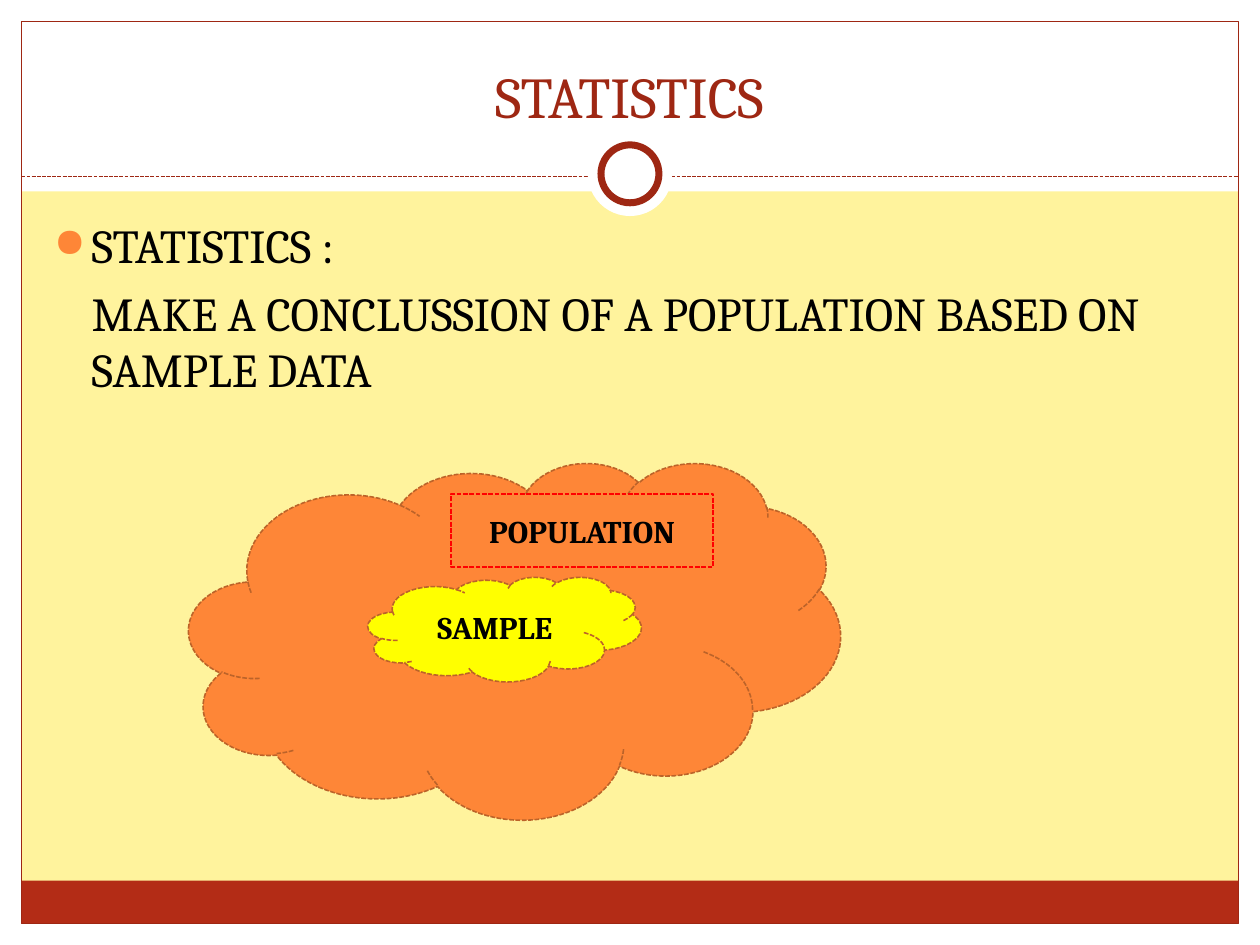
from lxml import etree
from pptx import Presentation
from pptx.dml.color import RGBColor
from pptx.enum.dml import MSO_LINE_DASH_STYLE as DASH
from pptx.enum.shapes import MSO_CONNECTOR, MSO_SHAPE
from pptx.enum.text import MSO_ANCHOR, PP_ALIGN
from pptx.oxml.ns import qn
from pptx.util import Inches, Pt

FONT = "Cambria"
WHITE = RGBColor(0xFF, 0xFF, 0xFF)
BLACK = RGBColor(0x00, 0x00, 0x00)
CREAM = RGBColor(0xFF, 0xF3, 0x9D)
BRICK = RGBColor(0xB3, 0x2C, 0x16)
DARK_RED = RGBColor(0x9E, 0x27, 0x13)
ORANGE = RGBColor(0xFE, 0x86, 0x37)
BROWN = RGBColor(0xBC, 0x63, 0x29)
YELLOW = RGBColor(0xFF, 0xFF, 0x00)
RED = RGBColor(0xFF, 0x00, 0x00)

WIDTH, HEIGHT, MARGIN = 10, 7.5, 0.17
INNER_WIDTH = WIDTH - 2 * MARGIN
HEADER_HEIGHT = 1.52
RULE_Y = 1.4


def style_line(line, color, width, dash=None):
    line.color.rgb = color
    line.width = Pt(width)
    if dash:
        line.dash_style = dash


def add_shape(slide, kind, box, fill=None, line=None, width=0.75, dash=None):
    shape = slide.shapes.add_shape(kind, *map(Inches, box))
    shape.shadow.inherit = False
    if fill is None:
        shape.fill.background()
    else:
        shape.fill.solid()
        shape.fill.fore_color.rgb = fill
    if line is None:
        shape.line.fill.background()
    else:
        style_line(shape.line, line, width, dash)
    return shape


def add_text_box(slide, box, anchor=MSO_ANCHOR.TOP):
    frame = slide.shapes.add_textbox(*map(Inches, box)).text_frame
    frame.word_wrap = True
    frame.vertical_anchor = anchor
    return frame


def add_run(paragraph, text, size, color=BLACK, bold=False):
    run = paragraph.add_run()
    run.text = text
    run.font.name = FONT
    run.font.size = Pt(size)
    run.font.bold = bold
    run.font.color.rgb = color


def add_label(shape, text):
    shape.text_frame.vertical_anchor = MSO_ANCHOR.MIDDLE
    paragraph = shape.text_frame.paragraphs[0]
    paragraph.alignment = PP_ALIGN.CENTER
    add_run(paragraph, text, 18, bold=True)


def set_hanging_indent(paragraph, indent):
    properties = paragraph._p.get_or_add_pPr()
    properties.set("marL", str(Inches(indent)))
    properties.set("indent", str(-Inches(indent)))


def add_bullet(paragraph, character, color, percent):
    properties = paragraph._p.get_or_add_pPr()
    bullet_color = etree.SubElement(properties, qn("a:buClr"))
    etree.SubElement(bullet_color, qn("a:srgbClr"), val=str(color))
    etree.SubElement(properties, qn("a:buSzPct"), val=str(percent * 1000))
    etree.SubElement(properties, qn("a:buChar"), char=character)


def add_circle(slide, center_y, diameter, **style):
    box = ((WIDTH - diameter) / 2, center_y - diameter / 2, diameter, diameter)
    add_shape(slide, MSO_SHAPE.OVAL, box, WHITE, **style)


def add_frame(slide):
    # White margins and header
    for box in (
        (0, HEIGHT - MARGIN, WIDTH, MARGIN),
        (0, 0, WIDTH, HEADER_HEIGHT),
        (0, 0, MARGIN, HEIGHT),
        (WIDTH - MARGIN, 0, MARGIN, HEIGHT),
    ):
        add_shape(slide, MSO_SHAPE.RECTANGLE, box, WHITE)

    # Footer band and border
    add_shape(slide, MSO_SHAPE.RECTANGLE, (MARGIN, 6.99, INNER_WIDTH, 0.34), BRICK)
    border = (MARGIN, MARGIN, INNER_WIDTH, HEIGHT - 2 * MARGIN)
    add_shape(slide, MSO_SHAPE.RECTANGLE, border, line=DARK_RED)

    # Dashed rule with its ring
    rule = slide.shapes.add_connector(
        MSO_CONNECTOR.STRAIGHT, Inches(MARGIN), Inches(RULE_Y),
        Inches(WIDTH - MARGIN), Inches(RULE_Y))
    style_line(rule.line, DARK_RED, 0.75, DASH.SQUARE_DOT)
    etree.SubElement(rule._element.spPr, qn("a:effectLst"))
    add_circle(slide, 1.38, 0.67)
    add_circle(slide, 1.38, 0.46, line=DARK_RED, width=4)


def add_title(slide, text):
    frame = add_text_box(slide, (0.33, 0.25, 9.33, 0.83), MSO_ANCHOR.BOTTOM)
    frame.paragraphs[0].alignment = PP_ALIGN.CENTER
    add_run(frame.paragraphs[0], text, 33, DARK_RED)


def add_body(slide):
    frame = add_text_box(slide, (0.33, 1.67, 9.3, 5))
    term = frame.paragraphs[0]
    definition = frame.add_paragraph()
    definition.space_before = Pt(6)
    for paragraph in (term, definition):
        set_hanging_indent(paragraph, 0.3)
    add_bullet(term, "●", ORANGE, 85)
    add_run(term, "STATISTICS :", 27)
    add_run(definition, "\tMAKE A CONCLUSSION OF A POPULATION BASED ON SAMPLE DATA", 27)


def add_diagram(slide):
    dashed = {"width": 0.9, "dash": DASH.SQUARE_DOT}
    add_shape(slide, MSO_SHAPE.CLOUD, (1.5, 3.67, 5.17, 2.83), ORANGE, BROWN, **dashed)
    sample = add_shape(
        slide, MSO_SHAPE.CLOUD, (2.92, 4.58, 2.17, 0.83), YELLOW, BROWN, **dashed)
    add_label(sample, "SAMPLE")
    population = add_shape(
        slide, MSO_SHAPE.RECTANGLE, (3.58, 3.92, 2.08, 0.58), ORANGE, RED, **dashed)
    add_label(population, "POPULATION")


def main():
    presentation = Presentation()
    presentation.slide_width = Inches(WIDTH)
    presentation.slide_height = Inches(HEIGHT)
    slide = presentation.slides.add_slide(presentation.slide_layouts[6])
    slide.background.fill.solid()
    slide.background.fill.fore_color.rgb = CREAM

    add_frame(slide)
    add_title(slide, "STATISTICS")
    add_body(slide)
    add_diagram(slide)
    presentation.save("out.pptx")


if __name__ == "__main__":
    main()
